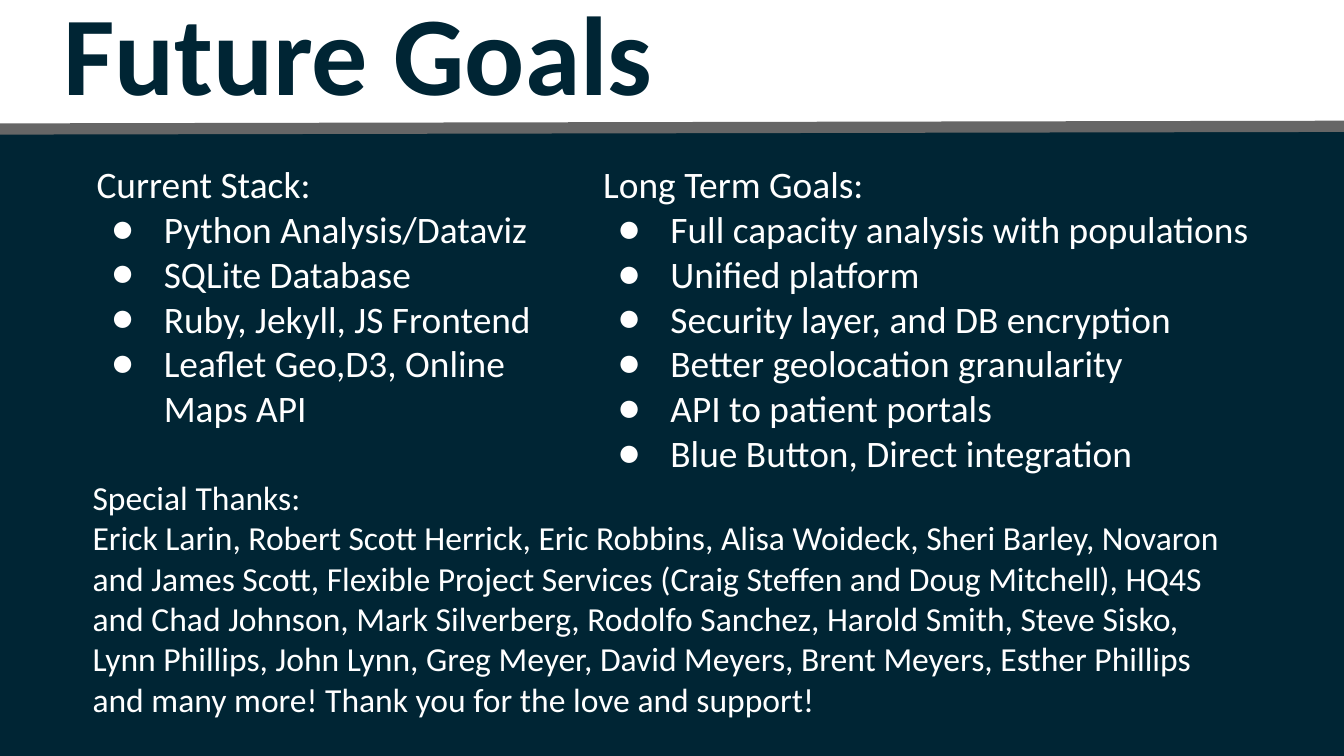
import pptx
import pptx.dml.color
import pptx.enum.shapes
import pptx.enum.text
import pptx.oxml.ns
import pptx.util
from lxml import etree

Inches = pptx.util.Inches
FONT = "Calibri"
COLORS = {"navy": "002534", "gray": "666666", "white": "FFFFFF"}

STACK = [
    "Python Analysis/Dataviz",
    "SQLite Database",
    "Ruby, Jekyll, JS Frontend",
    "Leaflet Geo,D3, Online Maps API",
]
GOALS = [
    "Full capacity analysis with populations",
    "Unified platform",
    "Security layer, and DB encryption",
    "Better geolocation granularity",
    "API to patient portals",
    "Blue Button, Direct integration",
]
THANKS = (
    "Erick Larin, Robert Scott Herrick, Eric Robbins, Alisa Woideck, "
    "Sheri Barley, Novaron and James Scott, Flexible Project Services "
    "(Craig Steffen and Doug Mitchell), HQ4S and Chad Johnson, "
    "Mark Silverberg, Rodolfo Sanchez, Harold Smith, Steve Sisko, "
    "Lynn Phillips, John Lynn, Greg Meyer, David Meyers, Brent Meyers, "
    "Esther Phillips and many more! Thank you for the love and support!"
)


def rgb(name):
    return pptx.dml.color.RGBColor.from_string(COLORS[name])


def add_bullet(p):
    qn = pptx.oxml.ns.qn
    pPr = p._p.get_or_add_pPr()
    pPr.set("marL", str(Inches(0.5)))
    pPr.set("indent", str(Inches(-0.39)))
    bu_color = etree.SubElement(pPr, qn("a:buClr"))
    etree.SubElement(bu_color, qn("a:srgbClr"), val=COLORS["white"])
    etree.SubElement(pPr, qn("a:buFont"), typeface=FONT)
    etree.SubElement(pPr, qn("a:buChar"), char="●")


def write_text(sp, paragraphs, size, color="white", bold=False, bulleted=False):
    """Fill a shape with paragraphs; bulleted marks all after the first."""
    tf = sp.text_frame
    tf.word_wrap = True
    tf.auto_size = pptx.enum.text.MSO_AUTO_SIZE.NONE
    tf.vertical_anchor = pptx.enum.text.MSO_ANCHOR.TOP
    tf.margin_left = tf.margin_right = Inches(0.1)
    tf.margin_top = tf.margin_bottom = Inches(0.1)
    for i, text in enumerate(paragraphs):
        p = tf.add_paragraph() if i else tf.paragraphs[0]
        p.alignment = pptx.enum.text.PP_ALIGN.LEFT
        if bulleted and i:
            add_bullet(p)
        r = p.add_run()
        r.text = text
        r.font.name = FONT
        r.font.size = pptx.util.Pt(size)
        r.font.bold = bold
        r.font.color.rgb = rgb(color)


def add_title(s, text):
    sp = s.shapes.title
    sp.left, sp.top = Inches(0.37), Inches(-0.22)
    sp.width, sp.height = Inches(8.59), Inches(1.1)
    write_text(sp, [text], 60, color="navy", bold=True)


def add_panel(s, left, top, width, height):
    sp = s.shapes.add_shape(
        pptx.enum.shapes.MSO_SHAPE.RECTANGLE,
        Inches(left), Inches(top), Inches(width), Inches(height))
    sp.shadow.inherit = False
    sp.fill.solid()
    sp.fill.fore_color.rgb = rgb("navy")
    sp.line.fill.background()


def add_divider(s, x1, y1, x2, y2):
    line = s.shapes.add_connector(
        pptx.enum.shapes.MSO_CONNECTOR.STRAIGHT,
        Inches(x1), Inches(y1), Inches(x2), Inches(y2))
    line.line.color.rgb = rgb("gray")
    line.line.width = pptx.util.Pt(6)
    etree.SubElement(line._element.spPr, pptx.oxml.ns.qn("a:effectLst"))


def add_text(s, left, top, width, height, paragraphs, size, **text_format):
    sp = s.shapes.add_textbox(
        Inches(left), Inches(top), Inches(width), Inches(height))
    write_text(sp, paragraphs, size, **text_format)


def main():
    prs = pptx.Presentation()
    prs.slide_width, prs.slide_height = Inches(10), Inches(10 * 9 / 16)
    s = prs.slides.add_slide(prs.slide_layouts[5])
    add_panel(s, 0, 0.94, 10.01, 4.69)
    add_divider(s, 0, 0.96, 10, 0.94)
    add_title(s, "Future Goals")
    add_text(s, 4.39, 1.1, 5.44, 2.22, ["Long Term Goals:", *GOALS], 20, bulleted=True)
    add_text(s, 0.62, 1.1, 3.52, 2.5, ["Current Stack:", *STACK], 20, bulleted=True)
    add_text(s, 0.59, 3.45, 8.81, 2.5, ["Special Thanks:", THANKS], 18)
    prs.save("out.pptx")


if __name__ == "__main__":
    main()
